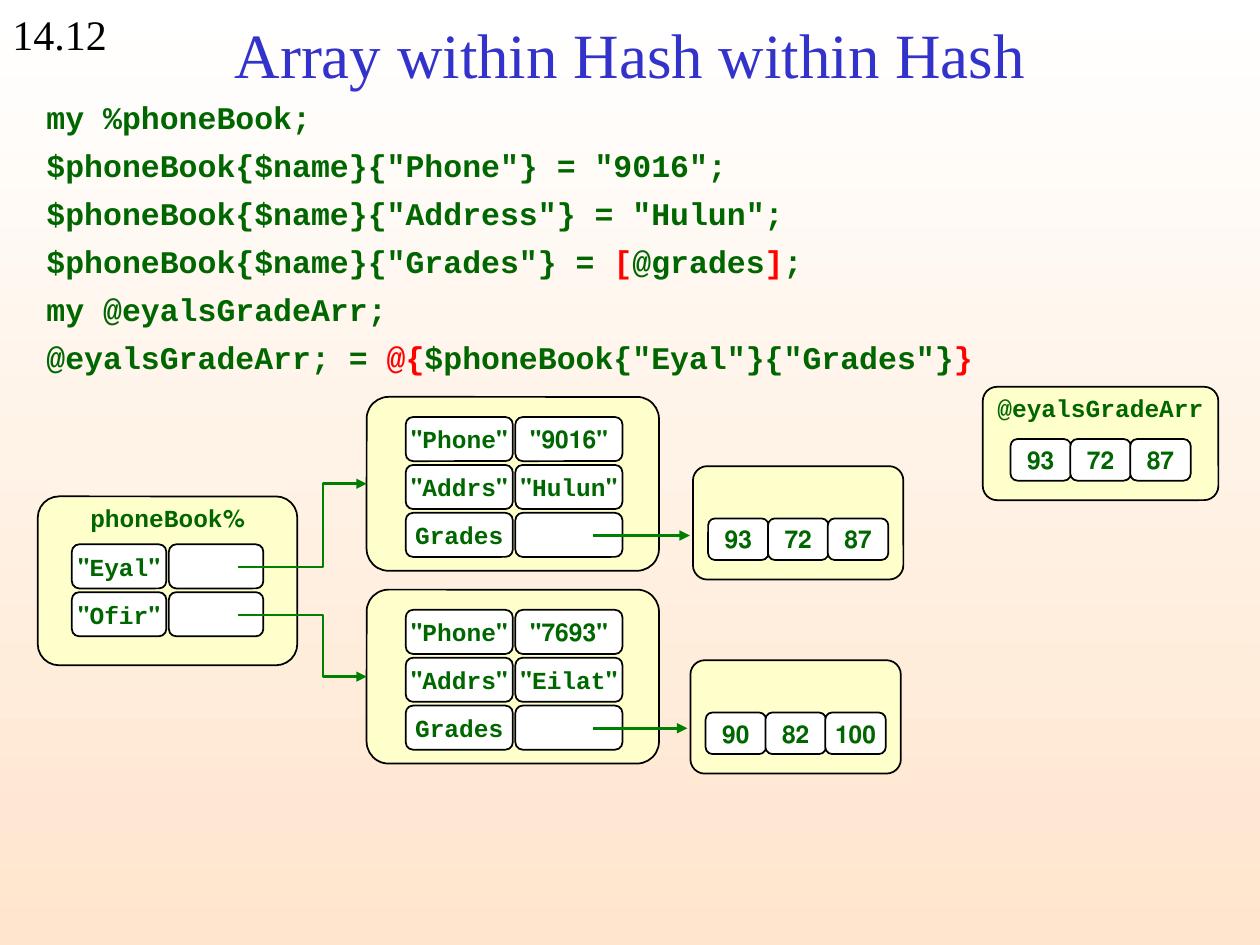
from lxml import etree
from pptx import Presentation
from pptx.dml.color import RGBColor
from pptx.enum.shapes import MSO_CONNECTOR, MSO_SHAPE
from pptx.enum.text import MSO_ANCHOR, PP_ALIGN
from pptx.oxml.ns import qn
from pptx.util import Inches, Pt

BLACK = RGBColor(0x00, 0x00, 0x00)
WHITE = RGBColor(0xFF, 0xFF, 0xFF)
PEACH = RGBColor(0xFF, 0xE5, 0xCD)
CREAM = RGBColor(0xFF, 0xFF, 0xCC)
BLUE = RGBColor(0x33, 0x33, 0xCC)
CODE_GREEN = RGBColor(0x00, 0x66, 0x00)
ARROW_GREEN = RGBColor(0x00, 0x80, 0x00)
RED = RGBColor(0xFF, 0x01, 0x01)

SERIF, MONO = "Times New Roman", "Courier New"
ROUNDED = MSO_SHAPE.ROUNDED_RECTANGLE
STRAIGHT, ELBOW = MSO_CONNECTOR.STRAIGHT, MSO_CONNECTOR.ELBOW
LEFT, CENTER = PP_ALIGN.LEFT, PP_ALIGN.CENTER
TOP, MIDDLE = MSO_ANCHOR.TOP, MSO_ANCHOR.MIDDLE

COLS, ROWS = 100, 75
CAPTION_W, CAPTION_H = 23, 3.4

# Each code line is a list of (text, colour) runs.
CODE = [
    [("my %phoneBook;", CODE_GREEN)],
    [('$phoneBook{$name}{"Phone"} = "9016";', CODE_GREEN)],
    [('$phoneBook{$name}{"Address"} = "Hulun";', CODE_GREEN)],
    [('$phoneBook{$name}{"Grades"} = ', CODE_GREEN), ("[", RED),
     ("@grades", CODE_GREEN), ("]", RED), (";", CODE_GREEN)],
    [("my @eyalsGradeArr;", CODE_GREEN)],
    [("@eyalsGradeArr; = ", CODE_GREEN), ("@{", RED),
     ('$phoneBook{"Eyal"}{"Grades"}', CODE_GREEN), ("}", RED)],
]

# Card top, phone, address, grades card position, grades.
RECORDS = [
    (31.5, '"9016"', '"Hulun"', (55, 37), ["93", "72", "87"]),
    (46.8, '"7693"', '"Eilat"', (54.8, 52.4), ["90", "82", "100"]),
]


class Deck:
    """Slide builder; every length is in columns or rows of the grid."""

    def __init__(self, prs):
        self.col = prs.slide_width / COLS
        self.row = prs.slide_height / ROWS
        self.slide = prs.slides.add_slide(prs.slide_layouts[6])

    def place(self, *lengths):
        units = (self.col, self.row)
        return [round(n * units[i % 2]) for i, n in enumerate(lengths)]

    def background(self, top, bottom):
        fill = self.slide.background.fill
        fill.gradient()
        fill.gradient_angle = 270
        for stop, position, color in zip(fill.gradient_stops, (0, 1), (top, bottom)):
            stop.position, stop.color.rgb = position, color

    def add_runs(self, p, runs, font, size, bold):
        for text, color in runs:
            r = p.add_run()
            r.text = text
            r.font.name, r.font.size, r.font.bold = font, Pt(size), bold
            r.font.color.rgb = color

    def text(self, x, y, w, h, lines, size, font=MONO, bold=True,
             align=LEFT, anchor=TOP, spacing=None, rtl=False):
        tf = self.slide.shapes.add_textbox(*self.place(x, y, w, h)).text_frame
        tf.word_wrap, tf.vertical_anchor = True, anchor
        for i, runs in enumerate(lines):
            p = tf.add_paragraph() if i else tf.paragraphs[0]
            p.alignment, p.line_spacing = align, spacing
            if rtl:
                p._p.get_or_add_pPr().set("rtl", "1")
            self.add_runs(p, runs, font, size, bold)

    def box(self, x, y, w, h, fill, radius):
        s = self.slide.shapes.add_shape(ROUNDED, *self.place(x, y, w, h))
        s.adjustments[0] = radius
        s.shadow.inherit = False
        s.fill.solid()
        s.fill.fore_color.rgb = fill
        s.line.color.rgb, s.line.width = BLACK, Pt(1)
        return s

    def cell(self, x, y, w, h, label):
        s = self.box(x, y, w, h, WHITE, 0.167)
        if label:
            tf = s.text_frame
            tf.word_wrap, tf.vertical_anchor = False, MIDDLE
            p = tf.paragraphs[0]
            p.alignment = CENTER
            p._p.get_or_add_pPr().set("rtl", "1")
            self.add_runs(p, [(label, CODE_GREEN)], MONO, 14, True)

    def card(self, x, y, w, h, table, inset, pitch, size, caption=None, rtl=False):
        """Draw a card with a table of cells; inset, pitch and size are pairs."""
        self.box(x, y, w, h, CREAM, 0.126)
        if caption:
            self.text(x + (w - CAPTION_W) / 2, y, CAPTION_W, CAPTION_H,
                      [[(caption, CODE_GREEN)]], 14, align=CENTER, rtl=rtl)
        for i, labels in enumerate(table):
            for j, label in enumerate(labels):
                self.cell(x + inset[0] + j * pitch[0],
                          y + inset[1] + i * pitch[1], *size, label)

    def grades(self, x, y, w, values, caption=None):
        """Draw a card holding one row of three grades."""
        inset = (w - 14.3) / 2
        self.card(x, y, w, 9, [values], (inset, 4.15), (4.75, 0), (4.8, 3.3), caption)

    def arrow(self, x1, y1, x2, y2, bend=None):
        """Draw an arrow; bend is the share of its width where an elbow turns."""
        kind = ELBOW if bend else STRAIGHT
        s = self.slide.shapes.add_connector(kind, *self.place(x1, y1, x2, y2))
        s.line.color.rgb, s.line.width = ARROW_GREEN, Pt(1.5)
        spPr = s._element.spPr
        etree.SubElement(spPr.find(qn("a:ln")), qn("a:tailEnd"), type="triangle")
        etree.SubElement(spPr, qn("a:effectLst"))
        if bend:
            geom = spPr.find(qn("a:prstGeom"))
            guides = geom.find(qn("a:avLst"))
            if guides is None:
                guides = etree.SubElement(geom, qn("a:avLst"))
            etree.SubElement(guides, qn("a:gd"), name="adj1",
                             fmla=f"val {round(bend * 100000)}")


def main():
    prs = Presentation()
    prs.slide_width, prs.slide_height = Inches(10), Inches(7.5)
    deck = Deck(prs)
    deck.background(WHITE, PEACH)

    deck.text(0, 0.2, 11.4, 5, [[("14.12", BLACK)]], 24, SERIF, False)
    deck.text(2.7, 6.5, 96.9, 41, CODE, 18, spacing=1.27)
    deck.text(7.5, 0.9, 85, 6.7, [[("Array within Hash within Hash", BLUE)]],
              36, SERIF, False, CENTER, MIDDLE)

    deck.grades(78, 30.7, 18.7, ["93", "72", "87"], "@eyalsGradeArr")
    deck.card(3, 39.4, 20.6, 13.4, [['"Eyal"', ""], ['"Ofir"', ""]],
              (2.7, 3.8), (7.7, 3.8), (7.5, 3.5), "%phoneBook", rtl=True)

    for i, (top, phone, address, grades_at, values) in enumerate(RECORDS):
        table = [['"Phone"', phone], ['"Addrs"', address], ["Grades", ""]]
        deck.card(29.1, top, 23.2, 13.8, table, (3.1, 1.6), (8.7, 3.8), (8.5, 3.5))
        deck.grades(*grades_at, 16.7, values)
        deck.arrow(18.9, 45 + 3.8 * i, 29.1, top + 6.9, bend=0.66)
        deck.arrow(47.1, top + 11, grades_at[0] - 0.25, top + 11)

    prs.save("out.pptx")


if __name__ == "__main__":
    main()
